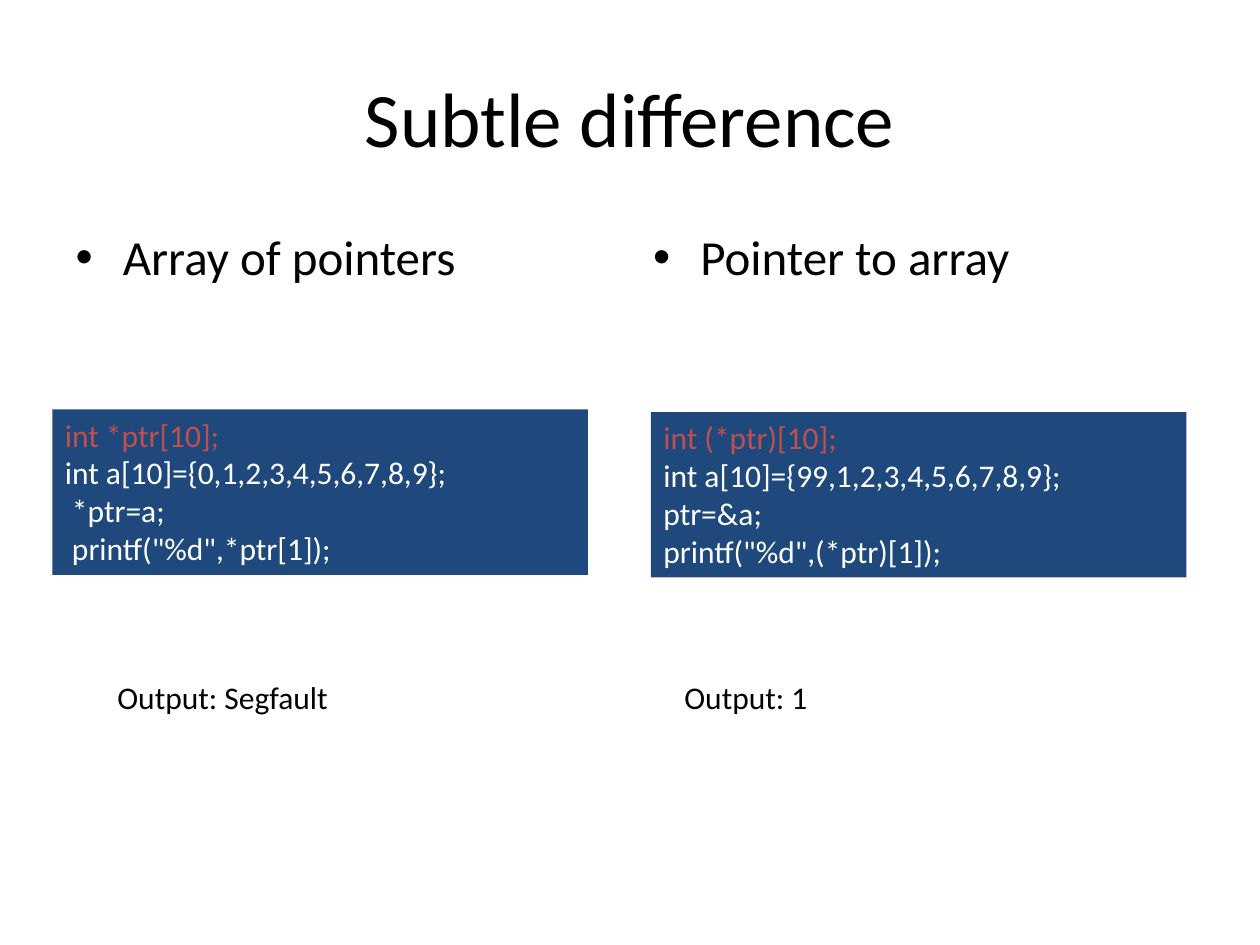
from pptx import Presentation
from pptx.dml.color import RGBColor
from pptx.enum.shapes import MSO_SHAPE as Shape
from pptx.enum.text import MSO_ANCHOR as Anchor, MSO_AUTO_SIZE as AutoSize, PP_ALIGN as Align
from pptx.util import Pt

BLACK, WHITE, NAVY, RED = "000000", "FFFFFF", "1F497D", "C0504D"
COLUMNS = [
    {
        "heading": "Array of pointers",
        "heading_box": (36, 126, 318, 356.4),
        "code": ["int *ptr[10];", "int a[10]={0,1,2,3,4,5,6,7,8,9};",
                 " *ptr=a;", ' printf("%d",*ptr[1]);'],
        "code_box": (30, 234, 306, 94.5),
        "output": "Output: Segfault",
        "output_box": (60, 384, 234, 29),
    },
    {
        "heading": "Pointer to array",
        "heading_box": (366, 126, 318, 356.4),
        "code": ["int (*ptr)[10];", "int a[10]={99,1,2,3,4,5,6,7,8,9};",
                 "ptr=&a;", 'printf("%d",(*ptr)[1]);'],
        "code_box": (372, 235.5, 306, 94.5),
        "output": "Output: 1",
        "output_box": (384, 384, 234, 29),
    },
]


def color(hex_text):
    """Turn a hex string into a colour."""
    return RGBColor.from_string(hex_text)


def format_para(para, size, hex_text, align=Align.LEFT):
    """Set alignment and font of every run in a paragraph."""
    para.alignment = align
    for span in para.runs:
        span.font.name = "Calibri"
        span.font.size = Pt(size)
        span.font.color.rgb = color(hex_text)


def fill_placeholder(holder, box, text, size, align=Align.LEFT):
    """Place a template placeholder in its box and set its text."""
    holder.left, holder.top, holder.width, holder.height = map(Pt, box)
    holder.text_frame.text = text
    format_para(holder.text_frame.paragraphs[0], size, BLACK, align)


def add_code(page, box, lines):
    """Draw a filled code panel with its declaration highlighted."""
    panel = page.shapes.add_shape(Shape.RECTANGLE, *map(Pt, box))
    panel.shadow.inherit = False
    panel.fill.solid()
    panel.fill.fore_color.rgb = color(NAVY)
    panel.line.fill.background()
    frame = panel.text_frame
    frame.word_wrap = True
    frame.auto_size = AutoSize.SHAPE_TO_FIT_TEXT
    frame.vertical_anchor = Anchor.TOP
    frame.text = "\n".join(lines)
    for index, para in enumerate(frame.paragraphs):
        format_para(para, 18, WHITE if index else RED)


def add_output(page, box, text):
    """Write the program output in a text box."""
    frame = page.shapes.add_textbox(*map(Pt, box)).text_frame
    frame.word_wrap = True
    frame.auto_size = AutoSize.SHAPE_TO_FIT_TEXT
    frame.text = text
    format_para(frame.paragraphs[0], 18, BLACK)


def add_column(page, holder, column):
    """Build one side of the comparison."""
    fill_placeholder(holder, column["heading_box"], column["heading"], 28)
    add_code(page, column["code_box"], column["code"])
    add_output(page, column["output_box"], column["output"])


def main():
    """Build the comparison slide and save the deck."""
    deck = Presentation()
    deck.slide_width, deck.slide_height = Pt(720), Pt(540)
    page = deck.slides.add_slide(deck.slide_layouts.get_by_name("Two Content"))
    fill_placeholder(page.shapes.title, (36, 21.6, 648, 90), "Subtle difference", 44, Align.CENTER)
    for index, column in enumerate(COLUMNS, start=1):
        add_column(page, page.placeholders[index], column)
    deck.save("out.pptx")


if __name__ == "__main__":
    main()
